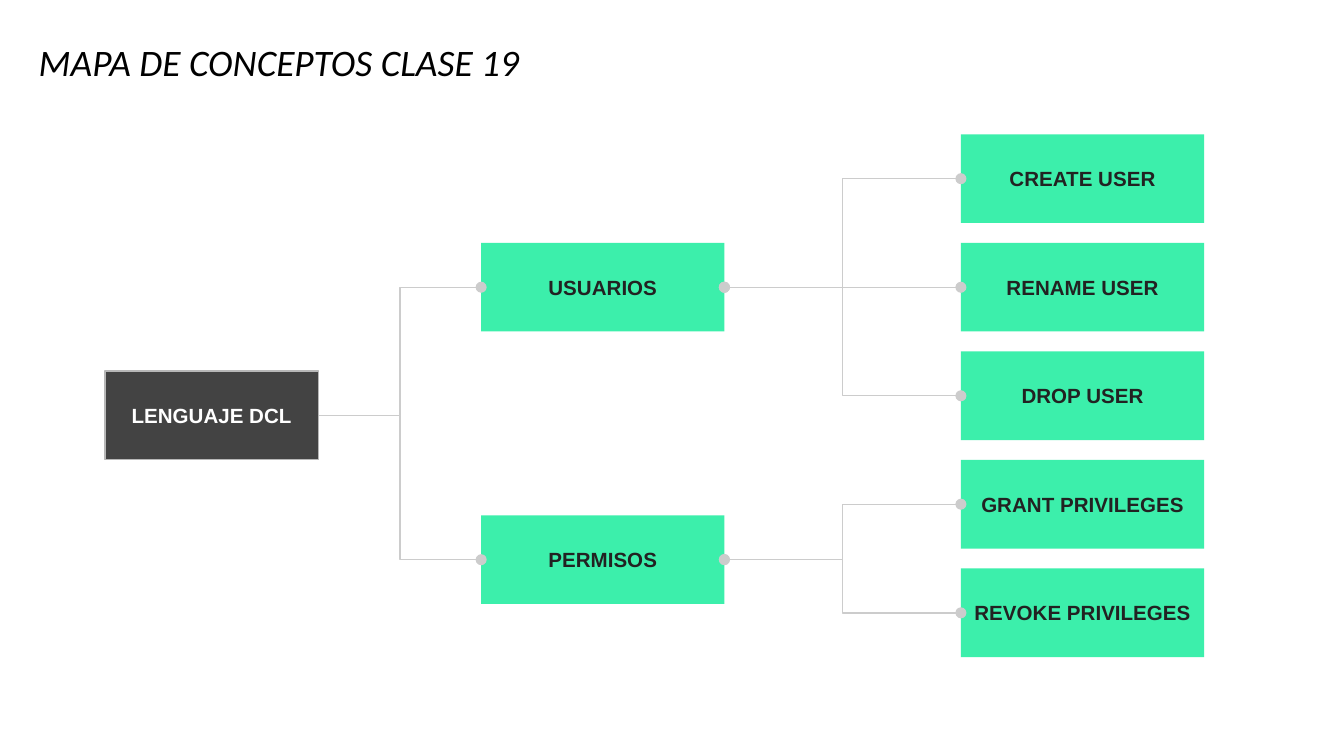
from lxml import etree
from pptx import Presentation
from pptx.dml.color import RGBColor
from pptx.enum import shapes, text
from pptx.oxml import ns
from pptx.util import Inches, Pt

BLACK = RGBColor(0x00, 0x00, 0x00)
WHITE = RGBColor(0xFF, 0xFF, 0xFF)
INK = RGBColor(0x22, 0x22, 0x22)
CHARCOAL = RGBColor(0x43, 0x43, 0x43)
BORDER = RGBColor(0xB7, 0xB7, 0xB7)
LINK = RGBColor(0xCC, 0xCC, 0xCC)
MINT = RGBColor(0x3C, 0xEF, 0xAB)

NODE_HEIGHT = 0.66
NODE_WIDTH = 1.81
ROOT = "LENGUAJE DCL"
BRANCHES = [
    ("USUARIOS", 1, ["CREATE USER", "RENAME USER", "DROP USER"]),
    ("PERMISOS", 3.51, ["GRANT PRIVILEGES", "REVOKE PRIVILEGES"]),
]


def add_title(slide, left, top, width, height, wording):
    title = slide.shapes.add_textbox(
        Inches(left), Inches(top), Inches(width), Inches(height))
    frame = title.text_frame
    frame.word_wrap = True
    frame.vertical_anchor = text.MSO_ANCHOR.BOTTOM
    paragraph = frame.paragraphs[0]
    paragraph.line_spacing = 0.9
    run = paragraph.add_run()
    run.text = wording
    run.font.name = "Calibri"
    run.font.size = Pt(20)
    run.font.italic = True
    run.font.color.rgb = BLACK


def add_node(slide, left, top, width, label, fill=MINT, ink=INK, border=None):
    node = slide.shapes.add_shape(
        shapes.MSO_SHAPE.RECTANGLE,
        Inches(left), Inches(top), Inches(width), Inches(NODE_HEIGHT))
    node.shadow.inherit = False
    node.fill.solid()
    node.fill.fore_color.rgb = fill
    if border is None:
        node.line.fill.background()
    else:
        node.line.color.rgb = border
        node.line.width = Pt(0.75)
    frame = node.text_frame
    frame.word_wrap = True
    frame.vertical_anchor = text.MSO_ANCHOR.MIDDLE
    frame.margin_left = frame.margin_right = Inches(0.08)
    frame.margin_top = frame.margin_bottom = Inches(0.1)
    paragraph = frame.paragraphs[0]
    paragraph.alignment = text.PP_ALIGN.CENTER
    run = paragraph.add_run()
    run.text = label
    run.font.name = "Arial"
    run.font.size = Pt(11)
    run.font.bold = True
    run.font.color.rgb = ink
    return node


def add_link(slide, parent, child, ends):
    link = slide.shapes.add_connector(shapes.MSO_CONNECTOR.ELBOW, 0, 0, 0, 0)
    link.begin_connect(parent, 3)
    link.end_connect(child, 1)
    link.line.color.rgb = LINK
    link.line.width = Pt(0.75)
    outline = link.line._get_or_add_ln()
    for end in ends:
        etree.SubElement(outline, ns.qn(f"a:{end}"), type="oval")
    etree.SubElement(link._element.spPr, ns.qn("a:effectLst"))


def add_concept_map(slide, left, top, width, height):
    leaf_count = sum(len(leaves) for _, _, leaves in BRANCHES)
    pitch = (height - NODE_HEIGHT) / (leaf_count - 1)
    root = add_node(slide, left, top + 1.76, 1.59, ROOT, CHARCOAL, WHITE, BORDER)
    links = []
    row = 0
    for branch_label, branch_row, leaves in BRANCHES:
        branch = add_node(slide, left + 2.8, top + branch_row * pitch,
                          NODE_WIDTH, branch_label)
        links.append((root, branch, ["tailEnd"]))
        for leaf_label in leaves:
            leaf = add_node(slide, left + width - NODE_WIDTH, top + row * pitch,
                            NODE_WIDTH, leaf_label)
            links.append((branch, leaf, ["headEnd", "tailEnd"]))
            row += 1
    for parent, child, ends in links:
        add_link(slide, parent, child, ends)


def main():
    deck = Presentation()
    deck.slide_width = Inches(10)
    deck.slide_height = Inches(10 * 9 / 16)
    slide = deck.slides.add_slide(deck.slide_layouts[6])
    add_title(slide, 0.19, 0.22, 8.26, 0.46, "MAPA DE CONCEPTOS CLASE 19")
    add_concept_map(slide, 0.78, 1, 8.18, 3.89)
    deck.save("out.pptx")


if __name__ == "__main__":
    main()
